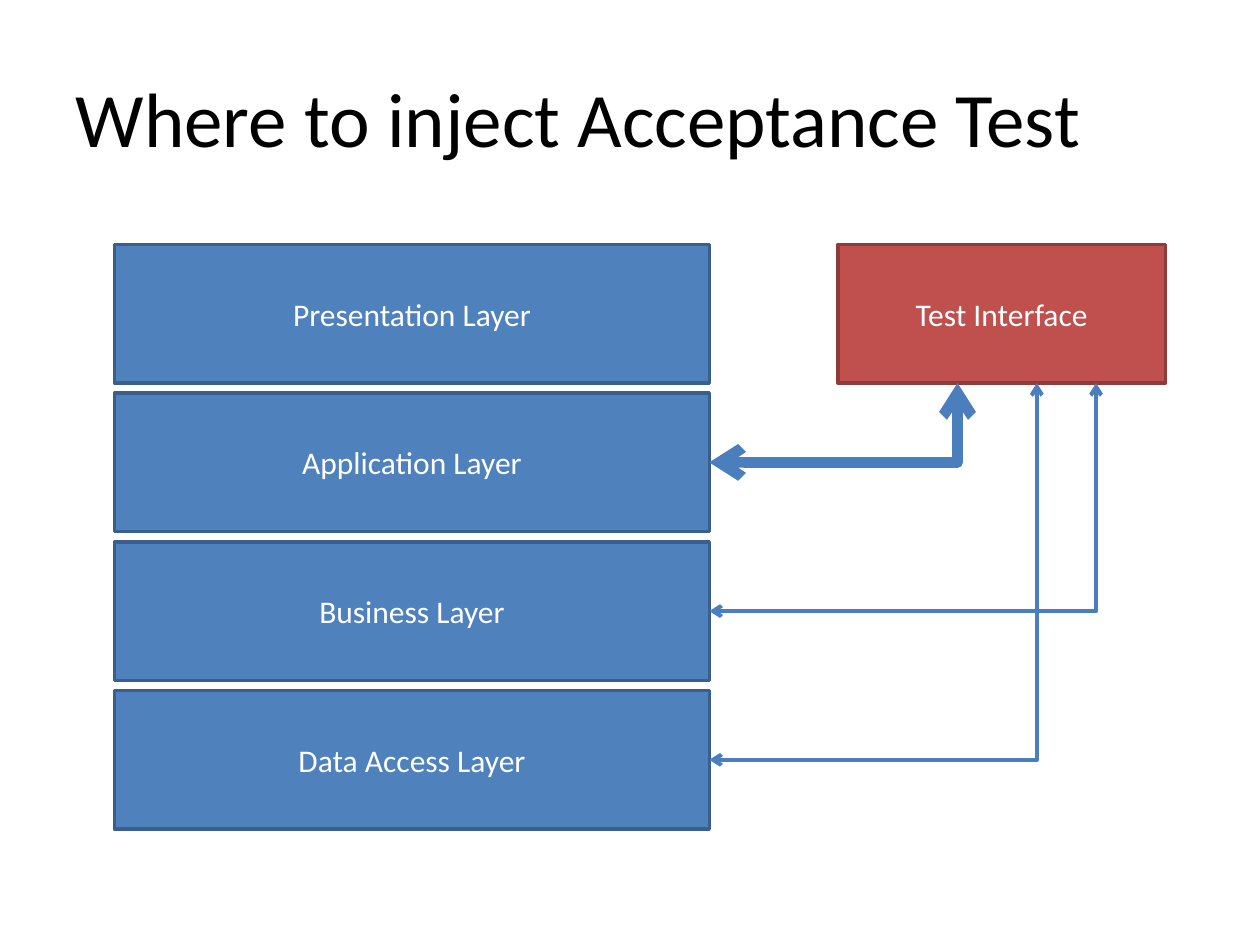
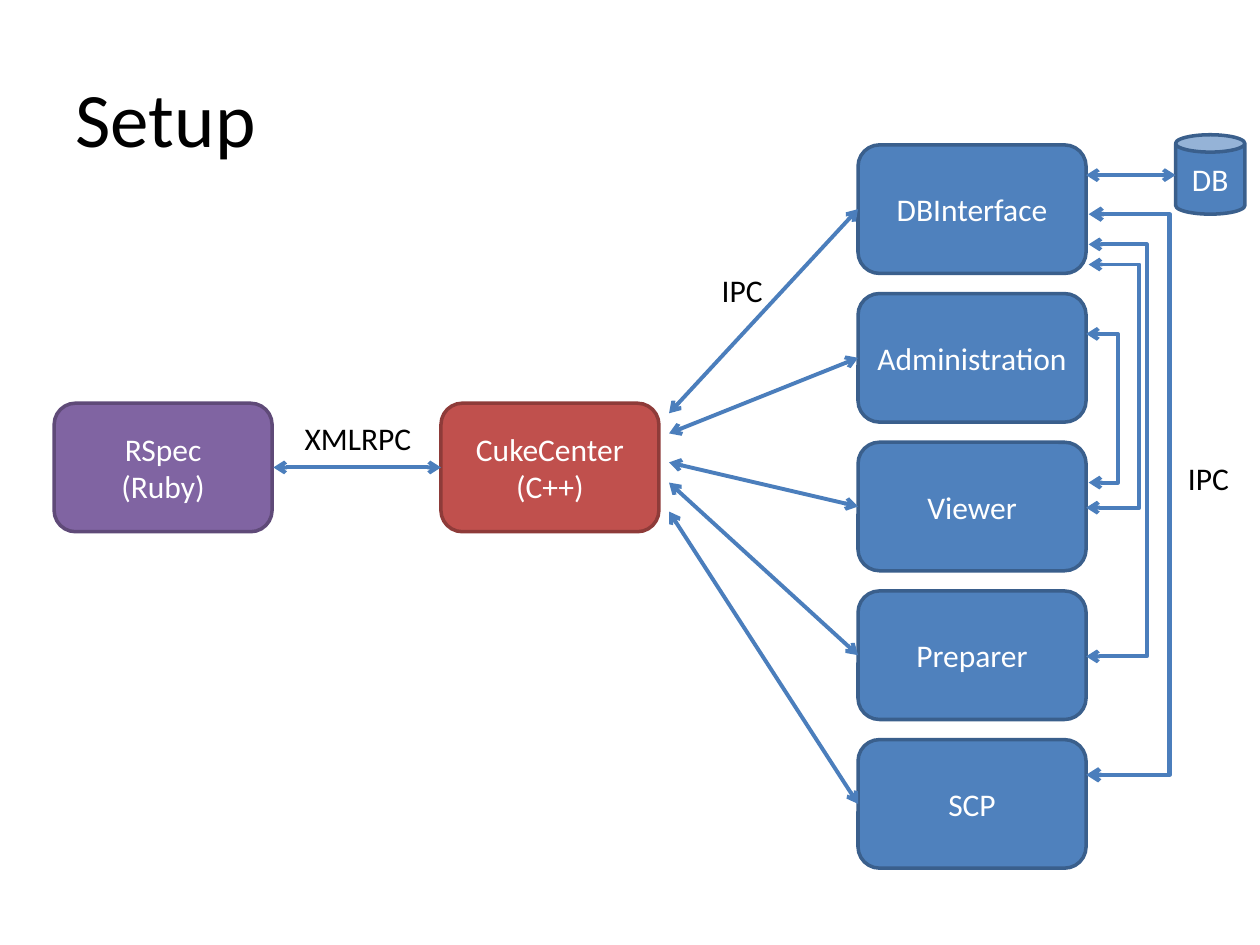
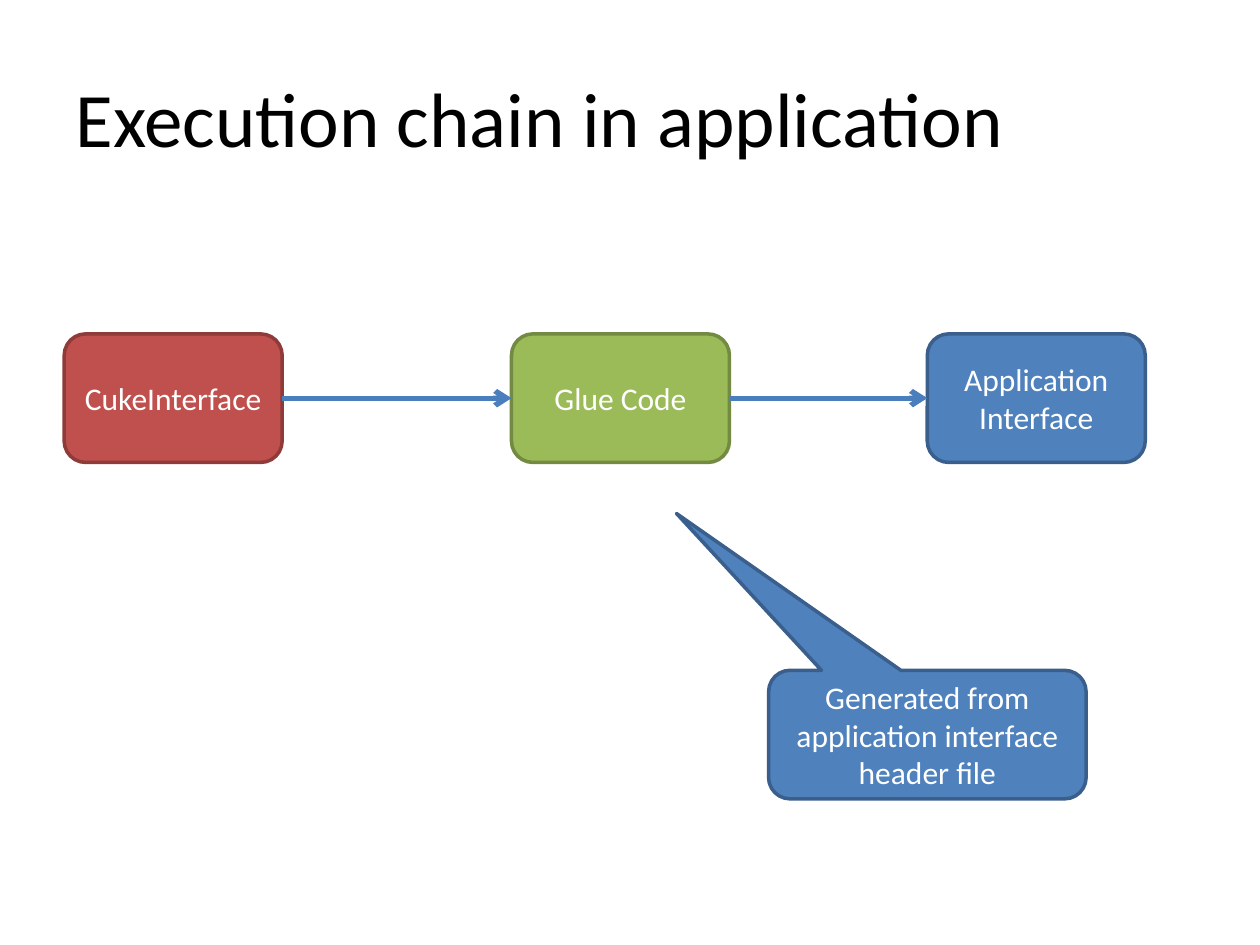
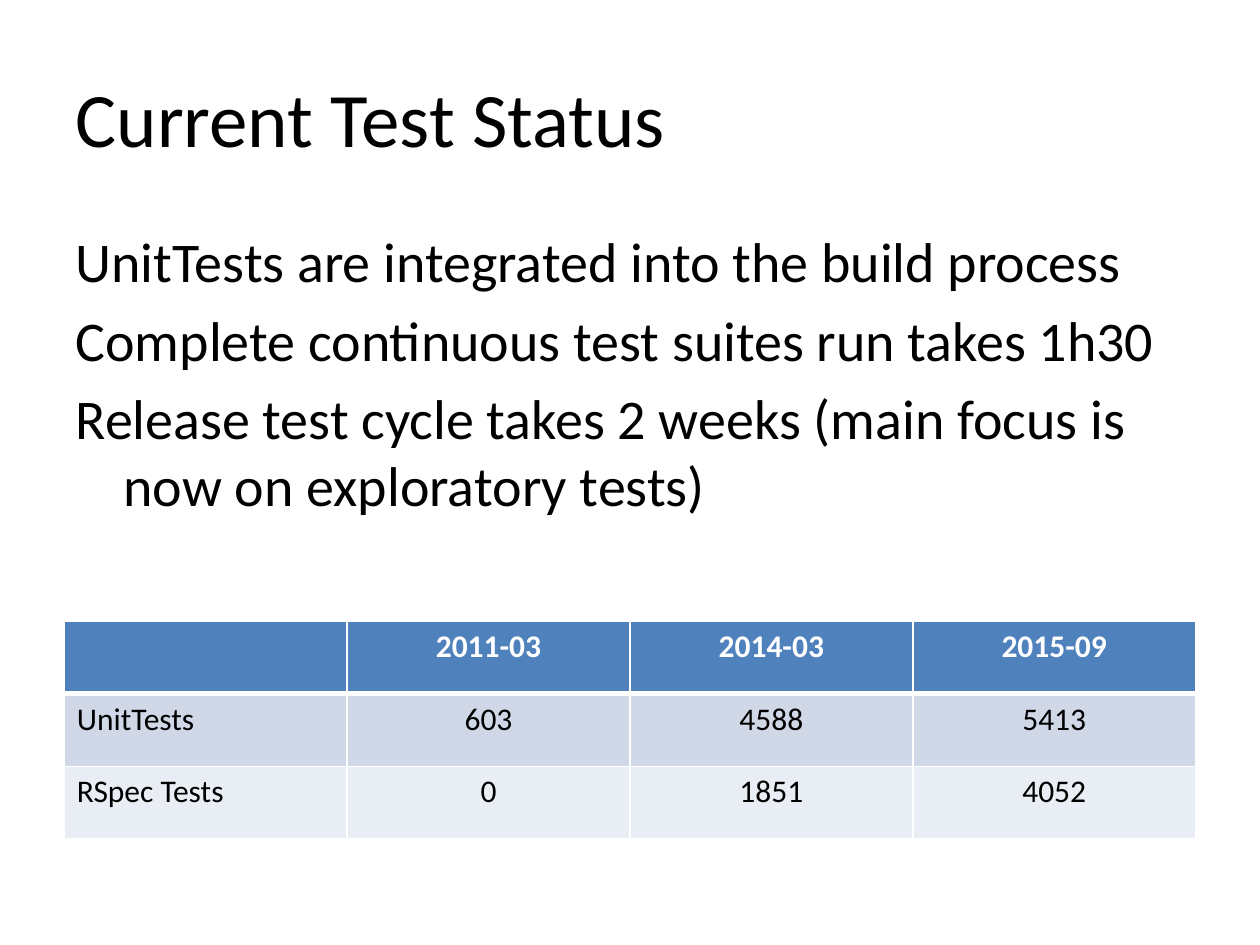
from lxml import etree
from pptx import Presentation
from pptx import util as u
from pptx.dml import color
from pptx.enum import shapes, text
from pptx.oxml import ns

# Shared look
FONT = "Calibri"
BLACK, WHITE = "000000", "FFFFFF"
BLUE = ("4F81BD", "3A5F8C")      # fill, outline
RED = ("C0504D", "8E3B39")
GREEN = ("9BBB59", "738A42")
PURPLE = ("8064A2", "5F4A78")
ARROW = "4B7EBC"
BANDS = ("D0D8E8", "E9EDF4")
RECT = shapes.MSO_SHAPE.RECTANGLE
ROUNDED = shapes.MSO_SHAPE.ROUNDED_RECTANGLE
CENTER = text.PP_ALIGN.CENTER
LEFT = text.PP_ALIGN.LEFT


def rgb(value):
    return color.RGBColor.from_string(value)


def place(shape, left, top, width, height):
    shape.left, shape.top = u.Inches(left), u.Inches(top)
    shape.width, shape.height = u.Inches(width), u.Inches(height)


def write(frame, lines, size, ink, align=LEFT, bold=False):
    """Fill a text frame with one paragraph per line."""
    for index, line in enumerate(lines):
        paragraph = frame.paragraphs[0] if index == 0 else frame.add_paragraph()
        paragraph.alignment = align
        run = paragraph.add_run()
        run.text = line
        run.font.name = FONT
        run.font.size = u.Pt(size)
        run.font.bold = bold
        run.font.color.rgb = rgb(ink)


def add_slide(presentation, title, layout=5):
    slide = presentation.slides.add_slide(presentation.slide_layouts[layout])
    place(slide.shapes.title, 0.5, 0.3, 9, 1.25)
    frame = slide.shapes.title.text_frame
    frame.vertical_anchor = text.MSO_ANCHOR.MIDDLE
    write(frame, [title], 44, BLACK)
    return slide


def add_box(slide, kind, position, colours, *lines):
    shape = slide.shapes.add_shape(kind, *map(u.Inches, position))
    shape.shadow.inherit = False
    fill, outline = colours
    shape.fill.solid()
    shape.fill.fore_color.rgb = rgb(fill)
    shape.line.color.rgb = rgb(outline)
    shape.line.width = u.Pt(2)
    shape.text_frame.word_wrap = True
    shape.text_frame.vertical_anchor = text.MSO_ANCHOR.MIDDLE
    write(shape.text_frame, lines, 18, WHITE, CENTER)
    return shape


def add_label(slide, position, label, wrap=False):
    box = slide.shapes.add_textbox(*map(u.Inches, position))
    box.text_frame.word_wrap = wrap
    box.text_frame.auto_size = text.MSO_AUTO_SIZE.SHAPE_TO_FIT_TEXT
    write(box.text_frame, [label], 18, BLACK)


def add_arrow(slide, start, end, width=2.25, both=True, bend_x=None):
    """Draw an arrow; with bend_x it is an elbow whose upright runs there."""
    kinds = shapes.MSO_CONNECTOR
    kind = kinds.STRAIGHT if bend_x is None else kinds.ELBOW
    connector = slide.shapes.add_connector(kind, *map(u.Inches, start + end))
    connector.line.color.rgb = rgb(ARROW)
    connector.line.width = u.Pt(width)
    line = connector.line._get_or_add_ln()
    for tag in ("a:headEnd", "a:tailEnd") if both else ("a:tailEnd",):
        etree.SubElement(line, ns.qn(tag), type="arrow")
    properties = connector._element.spPr
    etree.SubElement(properties, ns.qn("a:effectLst"))
    if bend_x is not None:
        ratio = (bend_x - start[0]) / (end[0] - start[0])
        guides = properties.find(ns.qn("a:prstGeom")).get_or_add_avLst()
        etree.SubElement(guides, ns.qn("a:gd"), name="adj1",
                         fmla=f"val {round(ratio * 100000)}")


def add_borders(cell, widths):
    """Give a cell white borders; widths maps each side to points."""
    properties = cell._tc.get_or_add_tcPr()
    for side, width in widths.items():
        line = etree.SubElement(properties, ns.qn(f"a:ln{side}"), w=str(u.Pt(width)))
        fill = etree.SubElement(line, ns.qn("a:solidFill"))
        etree.SubElement(fill, ns.qn("a:srgbClr"), val=WHITE)


def add_table(slide, position, rows):
    frame = slide.shapes.add_table(len(rows), len(rows[0]), *map(u.Inches, position))
    for r, row in enumerate(rows):
        for c, value in enumerate(row):
            cell = frame.table.cell(r, c)
            add_borders(cell, {"L": 1, "R": 1, "T": 3 if r == 1 else 1,
                               "B": 3 if r == 0 else 1})
            cell.fill.solid()
            cell.fill.fore_color.rgb = rgb(BANDS[(r - 1) % 2] if r else BLUE[0])
            if value:
                write(cell.text_frame, [value], 18, BLACK if r else WHITE,
                      CENTER if c else LEFT, bold=r == 0)


def build_layers(presentation):
    slide = add_slide(presentation, "Where to inject Acceptance Test")
    left, top, width, height, step = 0.91, 1.94, 4.72, 1.1, 1.18
    names = ("Presentation", "Application", "Business", "Data Access")
    for index, name in reversed(list(enumerate(names))):
        add_box(slide, RECT, (left, top + index * step, width, height),
                BLUE, f"{name} Layer")
    add_box(slide, RECT, (6.65, top, 2.6, height), RED, "Test Interface")

    # Elbows from the test interface to the layers below the first
    for index, x, weight in ((1, 7.6, 6), (2, 8.7, 2.25), (3, 8.23, 2.25)):
        middle = top + index * step + height / 2
        add_arrow(slide, (x, top + height), (left + width, middle), weight, bend_x=x)


def build_setup(presentation):
    slide = add_slide(presentation, "Setup")
    add_box(slide, ROUNDED, (3.5, 3.2, 1.73, 1.02), RED, "CukeCenter", "(C++)")

    # Application modules, each linked to the centre
    left, top, width, height, step = 6.81, 1.15, 1.81, 1.02, 1.18
    modules = {"DBInterface": 3.28, "Administration": 3.44, "Viewer": 3.67,
               "Preparer": 3.83, "SCP": 4.06}
    for index, (name, start_y) in enumerate(modules.items()):
        y = top + index * step
        add_box(slide, ROUNDED, (left, y, width, height), BLUE, name)
        add_arrow(slide, (5.31, start_y), (left, y + height / 2))

    # Database
    right = left + width
    add_box(slide, shapes.MSO_SHAPE.CAN, (9.33, 1.07, 0.55, 0.63), BLUE, "DB")
    add_arrow(slide, (right, 1.39), (9.33, 1.39))
    add_label(slide, (5.63, 2.1, 0.53, 0.4), "IPC")

    # Test scripts
    add_box(slide, ROUNDED, (0.43, 3.2, 1.73, 1.02), PURPLE, "RSpec", "(Ruby)")
    add_arrow(slide, (2.17, 3.71), (3.5, 3.71))
    add_label(slide, (2.32, 3.28, 1.06, 0.4), "XMLRPC")

    # Links between modules
    add_label(slide, (9.33, 3.59, 0.55, 0.4), "IPC", wrap=True)
    links = ((6.15, 1.7, 9.28, 2.5), (5.21, 1.94, 9.1, 2.25),
             (4.03, 2.1, 9.04, 2.25), (2.65, 3.83, 8.87, 2.25))
    for start_y, end_y, bend_x, weight in links:
        add_arrow(slide, (right, start_y), (right + 0.02, end_y), weight, bend_x=bend_x)


def build_chain(presentation):
    slide = add_slide(presentation, "Execution chain in application")
    top, width, height = 2.65, 1.73, 1.02
    links = ((0.51, RED, "CukeInterface"), (4.06, GREEN, "Glue Code"),
             (7.36, BLUE, "Application Interface"))
    for left, colours, name in links:
        add_box(slide, ROUNDED, (left, top, width, height), colours, name)
    middle = top + height / 2
    for (left, *_), (following, *_) in zip(links, links[1:]):
        add_arrow(slide, (left + width, middle), (following, middle), 3, both=False)

    callout = add_box(slide, shapes.MSO_SHAPE.ROUNDED_RECTANGULAR_CALLOUT,
                      (6.1, 5.32, 2.52, height), BLUE,
                      "Generated from application interface header file")
    callout.adjustments[0] = -0.79
    callout.adjustments[1] = -1.72


def build_status(presentation):
    slide = add_slide(presentation, "Current Test Status", layout=1)
    body = slide.placeholders[1]
    place(body, 0.5, 1.75, 9, 4.95)
    write(body.text_frame, (
        "UnitTests are integrated into the build process",
        "Complete continuous test suites run takes 1h30",
        "Release test cycle takes 2 weeks (main focus is now on exploratory tests)",
    ), 32, BLACK)
    for paragraph in body.text_frame.paragraphs:
        properties = paragraph._p.get_or_add_pPr()
        properties.set("marL", str(u.Inches(0.38)))
        properties.set("indent", str(u.Inches(-0.38)))
        etree.SubElement(properties, ns.qn("a:buNone"))

    add_table(slide, (0.51, 4.93, 8.98, 1.73), (
        ("", "2011-03", "2014-03", "2015-09"),
        ("UnitTests", "603", "4588", "5413"),
        ("RSpec Tests", "0", "1851", "4052"),
    ))


def main():
    presentation = Presentation()
    presentation.slide_width = u.Inches(10)
    presentation.slide_height = u.Inches(7.5)
    build_layers(presentation)
    build_setup(presentation)
    build_chain(presentation)
    build_status(presentation)
    presentation.save("out.pptx")


main()
